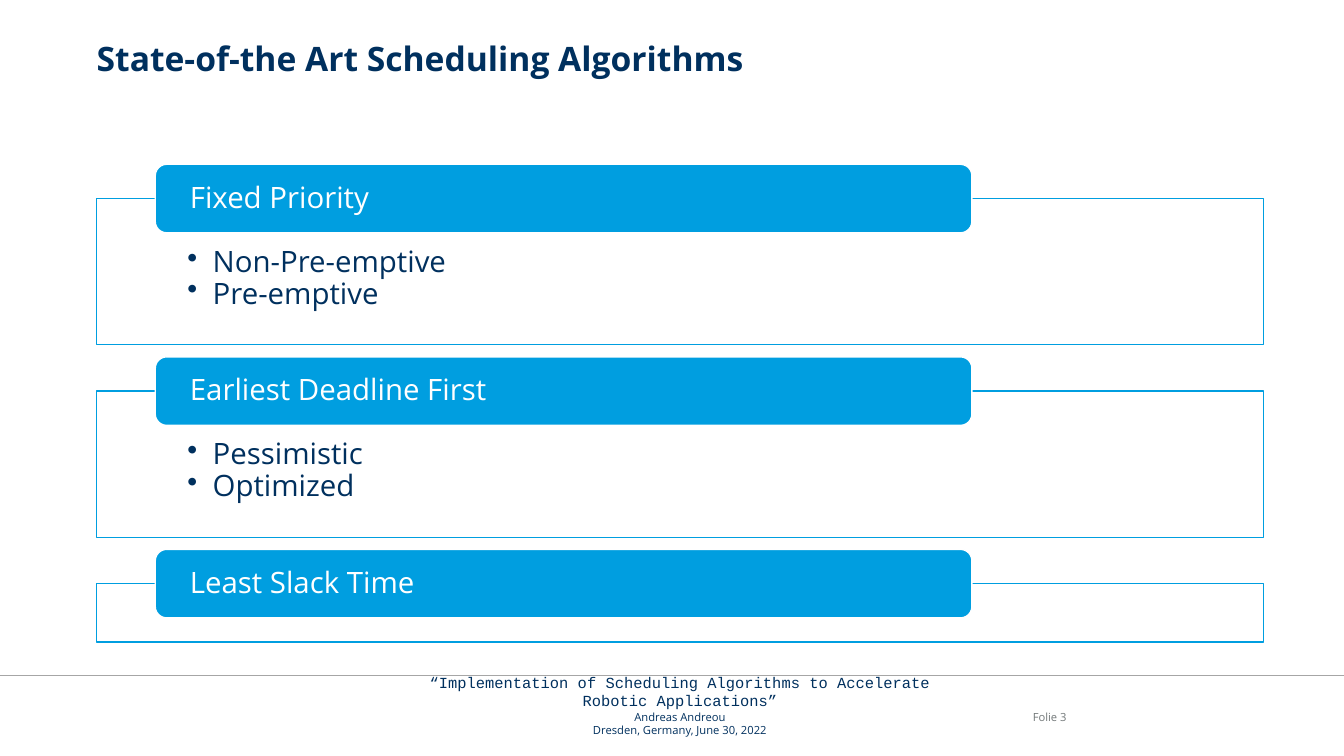
from dataclasses import dataclass

from lxml import etree
from pptx import Presentation
from pptx.dml.color import RGBColor
from pptx.enum.shapes import MSO_CONNECTOR, MSO_SHAPE
from pptx.enum.text import MSO_ANCHOR, PP_ALIGN
from pptx.oxml.ns import qn
from pptx.util import Inches, Pt

RECTANGLE = MSO_SHAPE.RECTANGLE
ROUNDED = MSO_SHAPE.ROUNDED_RECTANGLE
STRAIGHT = MSO_CONNECTOR.STRAIGHT
TOP, MIDDLE, BOTTOM = MSO_ANCHOR.TOP, MSO_ANCHOR.MIDDLE, MSO_ANCHOR.BOTTOM
LEFT, CENTER, RIGHT = PP_ALIGN.LEFT, PP_ALIGN.CENTER, PP_ALIGN.RIGHT

NAVY, BLUE, WHITE = "00305E", "009EE0", "FFFFFF"
GRAY, RULE_GRAY = "727879", "A6A6A6"
SANS, MONO = "Open Sans", "Courier New"

PANEL_LEFT, PANEL_WIDTH = 0.96, 11.57
HEADER_LEFT, HEADER_WIDTH, HEADER_HEIGHT = 1.54, 8.1, 0.68
FIRST_HEADER_TOP, GROUP_PITCH = 1.63, 1.91
PANEL_OFFSET = HEADER_HEIGHT / 2


@dataclass(frozen=True)
class Style:
    size: float
    color: str
    font: str = SANS
    bold: bool = False


@dataclass(frozen=True)
class Algorithm:
    name: str
    variants: tuple[str, ...]
    panel_height: float


ALGORITHMS = (
    Algorithm("Fixed Priority", ("Non-Pre-emptive", "Pre-emptive"), 1.45),
    Algorithm("Earliest Deadline First", ("Pessimistic", "Optimized"), 1.45),
    Algorithm("Least Slack Time", (), 0.58),
)


def color(value: str) -> RGBColor:
    return RGBColor.from_string(value)


def setup_frame(frame, anchor, left=0.0, top=0.0, right=0.0, bottom=0.0) -> None:
    frame.word_wrap = True
    frame.vertical_anchor = anchor
    frame.margin_left, frame.margin_top = Inches(left), Inches(top)
    frame.margin_right, frame.margin_bottom = Inches(right), Inches(bottom)


def add_span(para, text: str, style: Style) -> None:
    span = para.add_run()
    span.text = text
    span.font.name = style.font
    span.font.size = Pt(style.size)
    span.font.bold = style.bold
    span.font.color.rgb = color(style.color)


def next_para(frame, index: int, align=LEFT):
    para = frame.paragraphs[0] if index == 0 else frame.add_paragraph()
    para.alignment = align
    return para


def add_bullet(para) -> None:
    properties = para._p.get_or_add_pPr()
    properties.set("marL", str(Inches(0.25)))
    properties.set("indent", str(-Inches(0.25)))
    etree.SubElement(properties, qn("a:buChar")).set("char", "•")


def add_text(page, left, top, width, height, anchor, align, lines) -> None:
    box = page.shapes.add_textbox(Inches(left), Inches(top), Inches(width), Inches(height))
    setup_frame(box.text_frame, anchor)
    for index, (text, style) in enumerate(lines):
        add_span(next_para(box.text_frame, index, align), text, style)


def add_block(page, kind, left, top, width, height, fill: str, outline: str):
    block = page.shapes.add_shape(kind, Inches(left), Inches(top), Inches(width), Inches(height))
    block.shadow.inherit = False
    block.fill.solid()
    block.fill.fore_color.rgb = color(fill)
    block.line.color.rgb = color(outline)
    block.line.width = Pt(1)
    return block


def add_algorithm(page, algorithm: Algorithm, header_top: float) -> None:
    panel = add_block(page, RECTANGLE, PANEL_LEFT, header_top + PANEL_OFFSET,
                      PANEL_WIDTH, algorithm.panel_height, WHITE, BLUE)
    setup_frame(panel.text_frame, TOP, 0.9, 0.48, 0.9, 0.16)
    for index, variant in enumerate(algorithm.variants):
        para = next_para(panel.text_frame, index)
        para.line_spacing = 0.9
        add_bullet(para)
        add_span(para, variant, Style(21, NAVY))

    header = add_block(page, ROUNDED, HEADER_LEFT, header_top,
                       HEADER_WIDTH, HEADER_HEIGHT, BLUE, WHITE)
    setup_frame(header.text_frame, MIDDLE, left=0.31, right=0.31)
    para = next_para(header.text_frame, 0)
    para.line_spacing = 0.9
    add_span(para, algorithm.name, Style(21, WHITE))


def add_footer(page) -> None:
    small = Style(8, NAVY)
    add_text(page, 3.91, 6.7, 5.67, 0.61, BOTTOM, CENTER, (
        ("“Implementation of Scheduling Algorithms to Accelerate Robotic Applications”",
         Style(11, NAVY, MONO)),
        ("Andreas Andreou", small),
        ("Dresden, Germany, June 30, 2022", small),
    ))
    rule = page.shapes.add_connector(STRAIGHT, 0, Inches(6.7), Inches(13.33), Inches(6.7))
    rule.line.color.rgb = color(RULE_GRAY)
    rule.line.width = Pt(1)
    etree.SubElement(rule._element.spPr, qn("a:effectLst"))
    add_text(page, 9.81, 6.78, 0.77, 0.4, BOTTOM, RIGHT, (("Folie 3", Style(8, GRAY)),))


def main() -> None:
    deck = Presentation()
    deck.slide_width, deck.slide_height = Inches(13.33), Inches(7.5)
    page = deck.slides.add_slide(deck.slide_layouts[6])
    add_footer(page)
    add_text(page, PANEL_LEFT, 0.38, PANEL_WIDTH, 0.75, TOP, LEFT, (
        ("State-of-the Art Scheduling Algorithms", Style(24, NAVY, bold=True)),
    ))
    for index, algorithm in enumerate(ALGORITHMS):
        add_algorithm(page, algorithm, FIRST_HEADER_TOP + index * GROUP_PITCH)
    deck.save("out.pptx")


if __name__ == "__main__":
    main()
